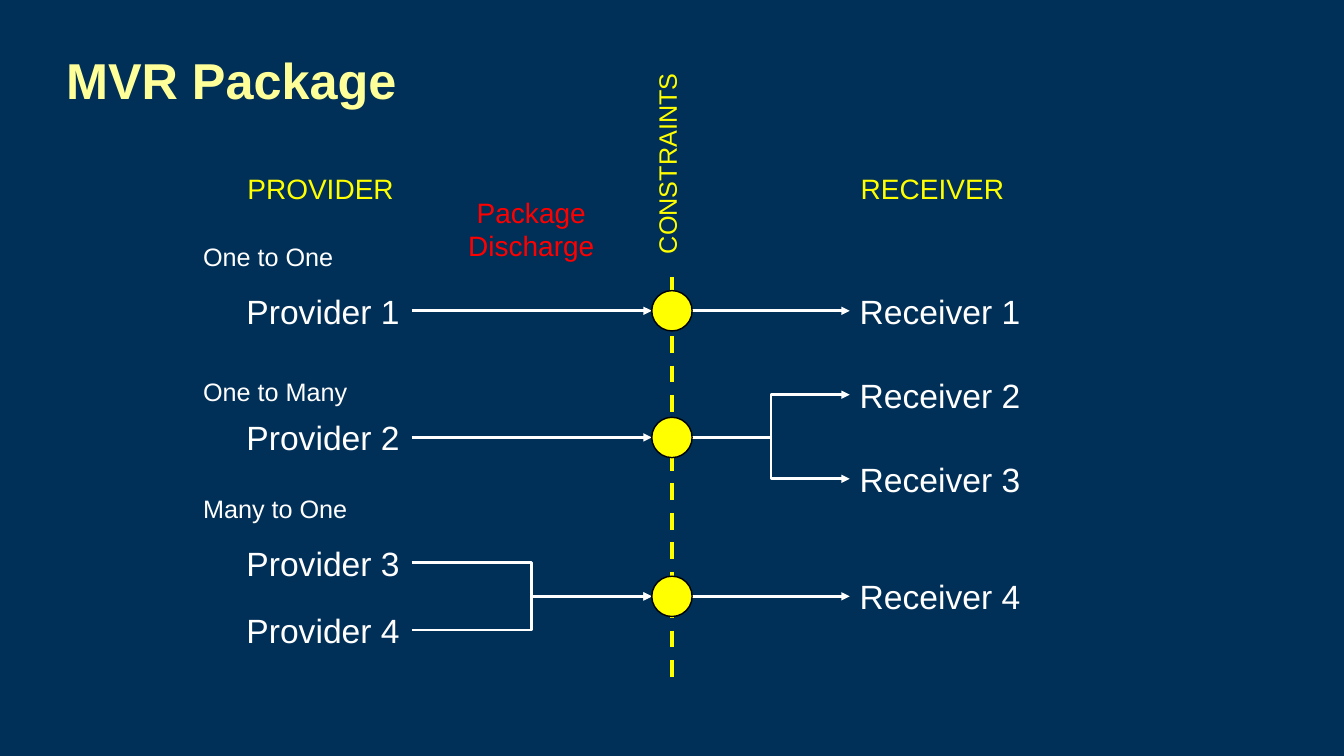
from dataclasses import dataclass
from lxml.etree import SubElement as Sub
from pptx import Presentation
from pptx.dml.color import RGBColor as RGB
from pptx.enum.dml import MSO_LINE as Dash
from pptx.enum.shapes import MSO_CONNECTOR as Link, MSO_SHAPE as Shape
from pptx.enum.text import MSO_ANCHOR as Anchor, MSO_AUTO_SIZE as Fit, PP_ALIGN as Align
from pptx.oxml.ns import qn
from pptx.util import Pt


@dataclass(frozen=True)
class Theme:
    font: str = "Arial"
    back: str = "002F57"
    title: str = "FFFF99"
    hub: str = "FFFF00"
    note: str = "FF0000"
    ink: str = "FFFFFF"
    edge: str = "000000"
    huge: int = 36
    large: int = 24
    head: int = 20
    small: int = 18


def rgb(code):
    return RGB.from_string(code)


def write(frame, text, size, color, font, bold=False, align=Align.LEFT):
    frame.text = text
    for para in frame.paragraphs:
        para.alignment = align
        face = para.runs[0].font
        face.name, face.size, face.bold = font, Pt(size), bold
        face.color.rgb = rgb(color)


class Board:
    def __init__(self, deck, theme):
        self.theme = theme
        self.slide = deck.slides.add_slide(deck.slide_layouts[5])
        fill = self.slide.background.fill
        fill.solid()
        fill.fore_color.rgb = rgb(theme.back)

    def title(self, text, x, y, w, h):
        box = self.slide.shapes.title
        box.left, box.top, box.width, box.height = map(Pt, (x, y, w, h))
        box.text_frame.vertical_anchor = Anchor.MIDDLE
        write(box.text_frame, text, self.theme.huge, self.theme.title,
              self.theme.font, bold=True)

    def text(self, text, x, y, w, h, size, color, align=Align.LEFT, turn=None):
        box = self.slide.shapes.add_textbox(*map(Pt, (x, y, w, h)))
        frame = box.text_frame
        frame.word_wrap, frame.auto_size = False, Fit.SHAPE_TO_FIT_TEXT
        if turn:
            box.element.txBody.bodyPr.set("vert", turn)
        write(frame, text, size, color, self.theme.font, align=align)

    def line(self, x1, y1, x2, y2, color, width, kind=Link.STRAIGHT,
             dash=None, arrow=False):
        link = self.slide.shapes.add_connector(kind, *map(Pt, (x1, y1, x2, y2)))
        link.line.color.rgb = rgb(color)
        link.line.width = Pt(width)
        if dash:
            link.line.dash_style = dash
        props = link.element.spPr
        if arrow:
            Sub(props.find(qn("a:ln")), qn("a:tailEnd"), type="triangle")
        Sub(props, qn("a:effectLst"))

    def dot(self, x, y, r):
        dot = self.slide.shapes.add_shape(
            Shape.OVAL, *map(Pt, (x - r, y - r, 2 * r, 2 * r)))
        dot.shadow.inherit = False
        dot.fill.solid()
        dot.fill.fore_color.rgb = rgb(self.theme.hub)
        dot.line.color.rgb = rgb(self.theme.edge)
        dot.line.width = Pt(1)


deck = Presentation()
deck.slide_width, deck.slide_height = Pt(960), Pt(540)
look = Theme()
board = Board(deck, look)

# Title and headings
board.title("MVR Package", 40, 12, 872, 90)
for label, x, y, w, h, size, color, turn in (
    ("Package\nDischarge", 327, 136, 105, 55, look.head, look.note, None),
    ("RECEIVER", 607, 119, 118, 32, look.head, look.hub, None),
    ("PROVIDER", 169, 119, 120, 32, look.head, look.hub, None),
    ("CONSTRAINTS", 462, 48, 36, 138, look.small, look.hub, "vert270"),
):
    board.text(label, x, y, w, h, size, color, align=Align.CENTER, turn=turn)

# Constraint line
MID, RAD = 480, 14.4
board.line(MID, 198, MID, 486, look.hub, 3, dash=Dash.DASH)

# Cases: label, its top, hub height, provider heights, receiver heights
cases = (
    ("One to One", 169, 222, (222,), (222,)),
    ("One to Many", 265, 312.5, (312,), (282, 342)),
    ("Many to One", 349, 426, (402, 450), (426,)),
)
LEFT, FROM, RIGHT = 169, 294, 607
sent = got = 0
for label, top, hub, givers, takers in cases:
    board.text(label, 138, top, 119, 29, look.small, look.ink)
    wire = dict(color=look.ink, width=2, kind=Link.ELBOW, arrow=True)
    for y in givers:
        sent += 1
        board.text(f"Provider {sent}", LEFT, y - 18, 125, 36, look.large, look.ink)
        start = hub if len(givers) == 1 else y
        board.line(FROM, start, MID - RAD, hub, **wire)
    for y in takers:
        got += 1
        board.text(f"Receiver {got}", RIGHT, y - 18, 130, 36, look.large, look.ink)
        board.line(MID + RAD, hub, RIGHT, y, **wire)
    board.dot(MID, hub, RAD)

deck.save("out.pptx")
